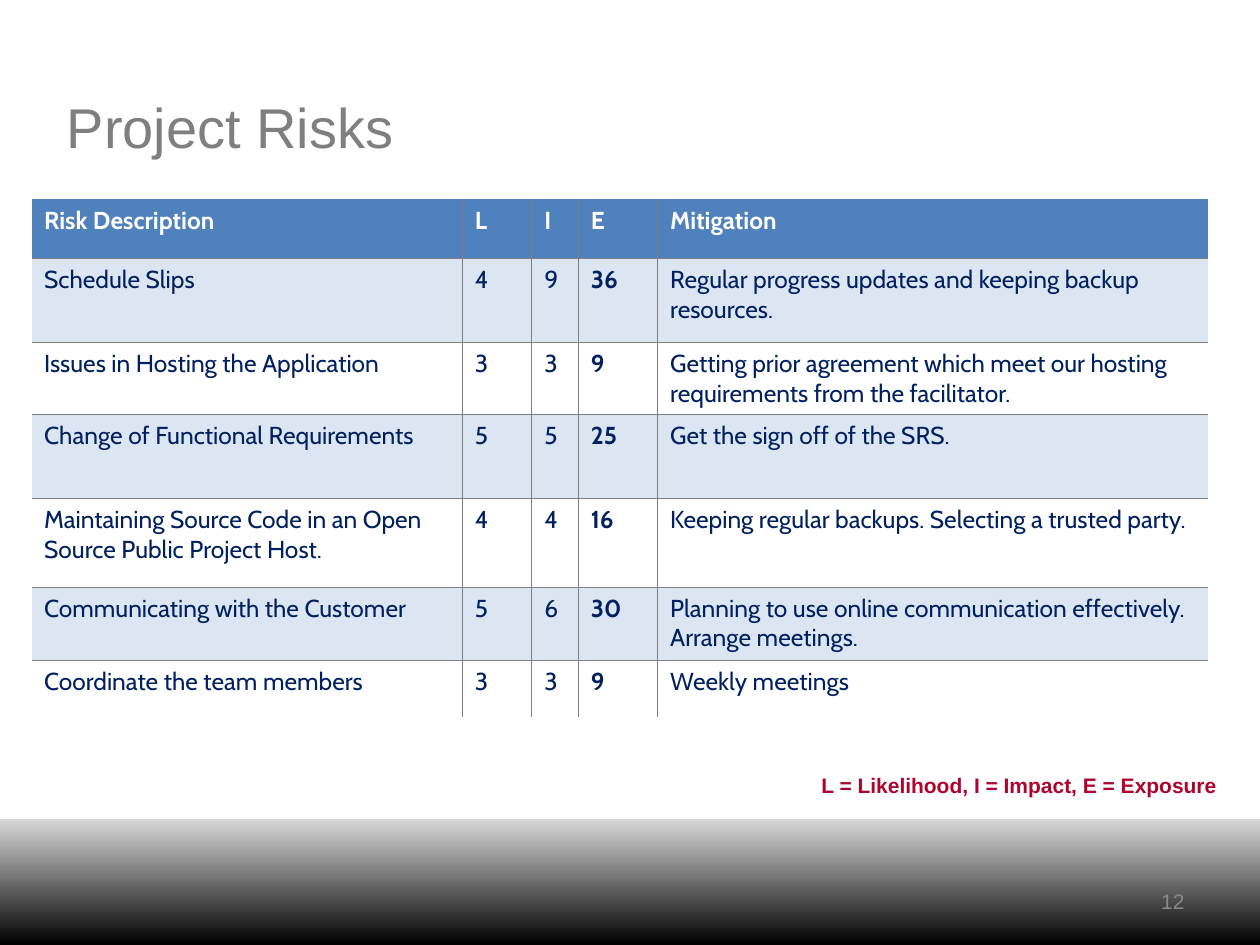
"""Build the Project Risks slide with its risk table and legend."""
from lxml import etree
from pptx import Presentation
from pptx import util as u
from pptx.dml import color as dml
from pptx.enum import shapes, text
from pptx.oxml import ns


def rgb(value):
    return dml.RGBColor.from_string(value)


def style(para, size, colour, font="Arial", bold=False):
    for span in para.runs:
        span.font.name = font
        span.font.size = u.Pt(size)
        span.font.bold = bold
        span.font.color.rgb = rgb(colour)


deck = Presentation()
deck.slide_width, deck.slide_height = u.Inches(10), u.Inches(7.5)
page = deck.slides.add_slide(deck.slide_layouts[5])

band = page.shapes.add_shape(
    shapes.MSO_SHAPE.RECTANGLE, u.Inches(0), u.Inches(6.5), u.Inches(10), u.Inches(1))
band.shadow.inherit = False
band.line.fill.background()
band.fill.gradient()
band.fill.gradient_angle = 90
for stop, colour in zip(band.fill.gradient_stops, ("000000", "D9D9D9")):
    stop.color.rgb = rgb(colour)

title = page.shapes.title
title.left, title.top = u.Inches(0.43), u.Inches(0.52)
title.width, title.height = u.Inches(9.06), u.Inches(0.96)
title.text_frame.text = "Project Risks"
title.text_frame.vertical_anchor = text.MSO_ANCHOR.MIDDLE
title.text_frame.paragraphs[0].alignment = text.PP_ALIGN.LEFT
style(title.text_frame.paragraphs[0], 32, "7F7F7F")

number = page.shapes.add_textbox(
    u.Inches(7.17), u.Inches(6.95), u.Inches(2.33), u.Inches(0.4))
number.text_frame.word_wrap = True
number.text_frame.vertical_anchor = text.MSO_ANCHOR.MIDDLE
number.text_frame.text = "12"
number.text_frame.paragraphs[0].alignment = text.PP_ALIGN.RIGHT
style(number.text_frame.paragraphs[0], 12, "898989")

legend = page.shapes.add_textbox(
    u.Inches(6.42), u.Inches(6.08), u.Inches(3.34), u.Inches(0.3))
legend.text_frame.word_wrap = False
legend.text_frame.auto_size = text.MSO_AUTO_SIZE.SHAPE_TO_FIT_TEXT
legend.text_frame.text = "L = Likelihood, I = Impact, E = Exposure"
style(legend.text_frame.paragraphs[0], 12, "AD052E", bold=True)

risks = [
    ("Risk Description", "L", "I", "E", "Mitigation"),
    ("Schedule Slips", "4", "9", "36",
     "Regular progress updates and keeping backup resources."),
    ("Issues in Hosting the Application", "3", "3", "9",
     "Getting prior agreement which meet our hosting requirements from the facilitator."),
    ("Change of Functional Requirements", "5", "5", "25", "Get the sign off of the SRS."),
    ("Maintaining Source Code in an Open Source Public Project Host.", "4", "4", "16",
     "Keeping regular backups. Selecting a trusted party."),
    ("Communicating with the Customer", "5", "6", "30",
     "Planning to use online communication effectively. Arrange meetings."),
    ("Coordinate the team members", "3", "3", "9", "Weekly meetings"),
]
widths = [3.42, 0.55, 0.37, 0.63, 4.37]
heights = [0.47, 0.67, 0.57, 0.67, 0.7, 0.58, 0.45]
table = page.shapes.add_table(
    len(heights), len(widths), u.Inches(0.25), u.Inches(1.58),
    u.Inches(sum(widths)), u.Inches(sum(heights))).table
for column, width in zip(table.columns, widths):
    column.width = u.Inches(width)
for row, height in zip(table.rows, heights):
    row.height = u.Inches(height)

last_row, last_column = len(heights) - 1, len(widths) - 1
for r, risk in enumerate(risks):
    for c, words in enumerate(risk):
        cell = table.cell(r, c)
        cell.text_frame.text = words
        style(cell.text_frame.paragraphs[0], 14, "002060" if r else "FFFFFF",
              "Cabin", r == 0 or c == 3)
        inner = {"lnL": c > 0, "lnR": c < last_column, "lnT": r > 0, "lnB": r < last_row}
        properties = cell._tc.get_or_add_tcPr()
        for side, drawn in inner.items():
            border = etree.SubElement(properties, ns.qn("a:" + side), w=str(u.Pt(0.45)))
            if drawn:
                solid = etree.SubElement(border, ns.qn("a:solidFill"))
                etree.SubElement(solid, ns.qn("a:srgbClr"), val="7F7F7F")
            else:
                etree.SubElement(border, ns.qn("a:noFill"))
        cell.fill.solid()
        cell.fill.fore_color.rgb = rgb(
            "4F81BD" if r == 0 else "DCE6F2" if r % 2 else "FFFFFF")

deck.save("out.pptx")
